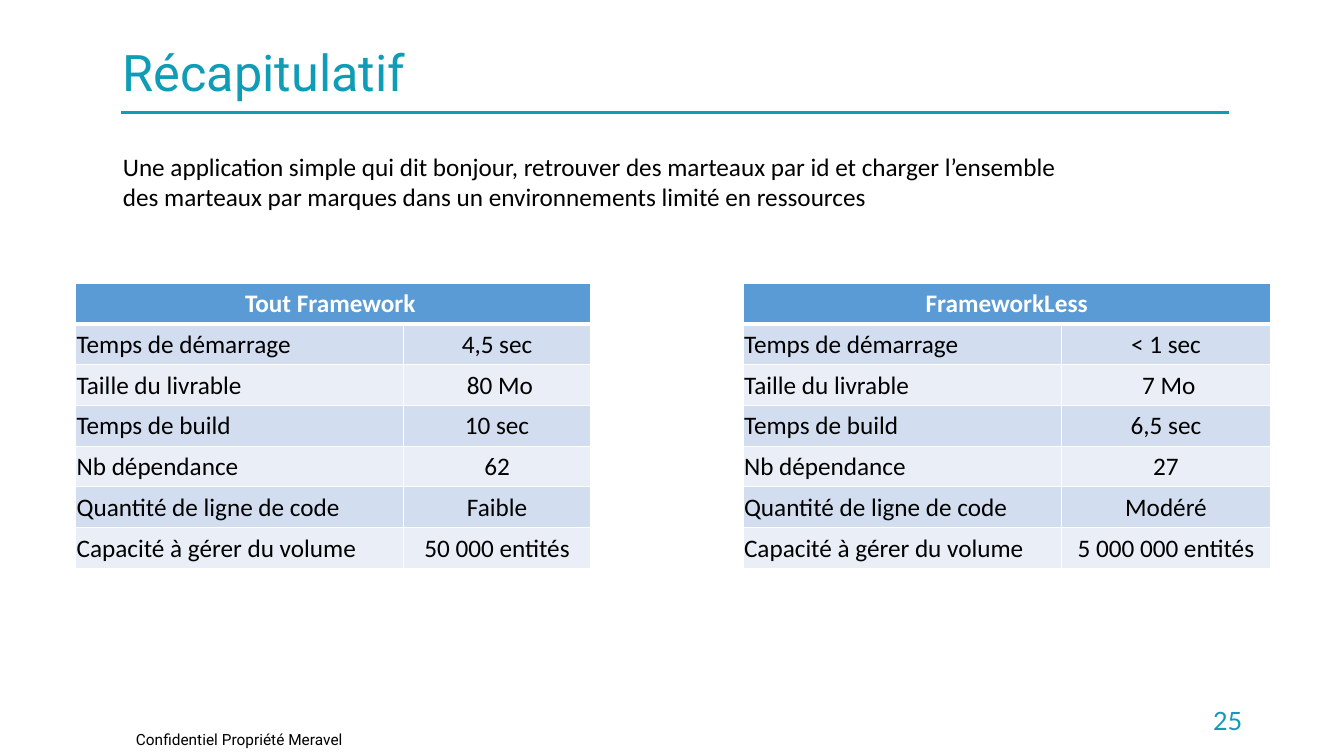
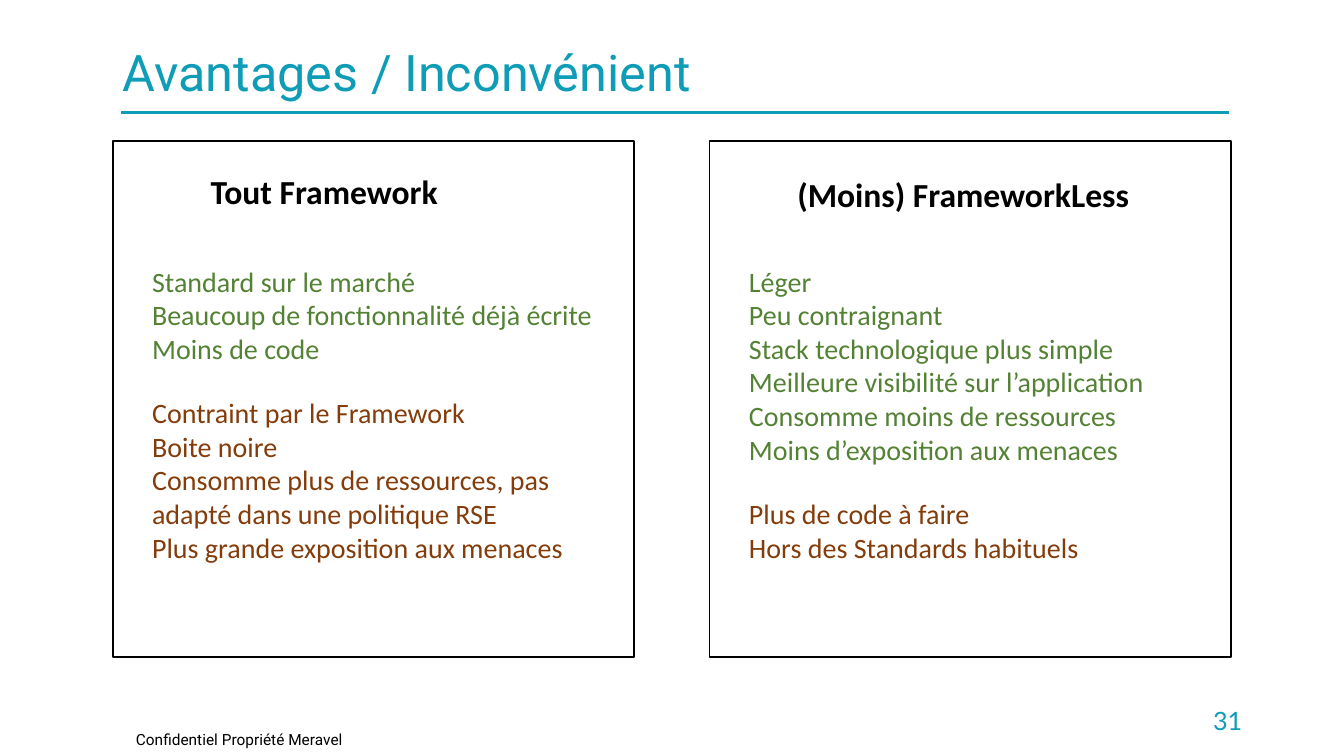
import pptx
import pptx.util
import pptx.dml.color
import pptx.enum.shapes
import pptx.enum.text
import pptx.oxml
import pptx.oxml.ns
from lxml import etree

Inches, Pt = pptx.util.Inches, pptx.util.Pt
RGBColor = pptx.dml.color.RGBColor
PP_ALIGN, MSO_ANCHOR = pptx.enum.text.PP_ALIGN, pptx.enum.text.MSO_ANCHOR
qn = pptx.oxml.ns.qn

TEAL = RGBColor(0x0E, 0x9C, 0xB6)
BLACK = RGBColor(0, 0, 0)
WHITE = RGBColor(0xFF, 0xFF, 0xFF)
HEADER_BLUE = RGBColor(0x5B, 0x9B, 0xD5)
BANDS = RGBColor(0xD2, 0xDE, 0xEF), RGBColor(0xEA, 0xEF, 0xF7)
GREEN = RGBColor(0x54, 0x82, 0x35)
BROWN = RGBColor(0x84, 0x3C, 0x0B)

BODY, TITLE, NUMBER = "Calibri", "Roboto", "Lato"
FOOTER = "Confidentiel Propriété Meravel"
MARGIN = 1.12

INTRO = ("Une application simple qui dit bonjour, retrouver des marteaux par id "
         "et charger l’ensemble des marteaux par marques dans un environnements "
         "limité en ressources")
HEADERS = "Tout Framework ", "FrameworkLess"
MEASURES = [
    ("Temps de démarrage", "4,5 sec", "< 1 sec"),
    ("Taille du livrable", " 80 Mo", " 7 Mo"),
    ("Temps de build", "10 sec", "6,5 sec"),
    ("Nb dépendance", "62", "27"),
    ("Quantité de ligne de code", "Faible", "Modéré"),
    ("Capacité à gérer du volume", "50 000 entités", "5 000 000 entités"),
]
COLUMNS = [3.25, 1.86, 1.51, 3.16, 2.07]
TABLE_TOP, TABLE_HEIGHT = 2.81, 2.83

PANEL_TOP, PANEL_WIDTH, PANEL_HEIGHT, PANEL_STEP = 1.4, 5.17, 5.12, 5.92
PANELS = [
    {"heading": "Tout Framework", "heading_at": (1.99, 1.65, 3.29, 0.5),
     "pros": ["Standard sur le marché",
              "Beaucoup de fonctionnalité déjà écrite",
              "Moins de code"],
     "cons": ["Contraint par le Framework",
              "Boite noire",
              "Consomme plus de ressources, pas adapté dans une politique RSE",
              "Plus grande exposition aux menaces"]},
    {"heading": "(Moins) FrameworkLess", "heading_at": (7.81, 1.68, 3.87, 0.5),
     "pros": ["Léger",
              "Peu contraignant",
              "Stack technologique plus simple",
              "Meilleure visibilité sur l’application",
              "Consomme moins de ressources",
              "Moins d’exposition aux menaces"],
     "cons": ["Plus de code à faire",
              "Hors des Standards habituels"]},
]


def write(p, text, size, color, font=BODY, bold=False, align=PP_ALIGN.LEFT):
    p.alignment = align
    r = p.add_run()
    r.text = text
    r.font.size, r.font.name, r.font.bold = Pt(size), font, bold
    r.font.color.rgb = color


def add_box(slide, at):
    tf = slide.shapes.add_textbox(*map(Inches, at)).text_frame
    tf.word_wrap = True
    return tf


def add_page(prs, title, number):
    """Add a slide with the shared title, rule, footer and page number."""
    slide = prs.slides.add_slide(prs.slide_layouts[6])
    rule = slide.shapes.add_connector(
        pptx.enum.shapes.MSO_CONNECTOR.STRAIGHT,
        Inches(1.2), Inches(1.12), Inches(12.19), Inches(1.12))
    rule.line.color.rgb, rule.line.width = TEAL, Pt(2.25)
    etree.SubElement(rule.element.spPr, qn("a:effectLst"))

    p = add_box(slide, (1.25, 7.19, 2.26, 0.29)).paragraphs[0]
    write(p, FOOTER, 11, BLACK, TITLE)

    tf = add_box(slide, (9.42, 6.95, 3, 0.4))
    tf.vertical_anchor = MSO_ANCHOR.MIDDLE
    write(tf.paragraphs[0], str(number), 18, TEAL, NUMBER, align=PP_ALIGN.RIGHT)

    p = add_box(slide, (MARGIN, 0.43, 11.08, 0.77)).paragraphs[0]
    p.line_spacing, p.space_before = 0.9, Pt(10)
    write(p, title, 36, TEAL, TITLE)
    return slide


def style_cell(cell, fill, bottom=1):
    """Fill a cell and give it white borders, the bottom one of a set width."""
    tcPr = cell._tc.get_or_add_tcPr()
    for side, width in (("L", 1), ("R", 1), ("T", 1), ("B", bottom)):
        ln = etree.SubElement(tcPr, qn(f"a:ln{side}"), w=str(Pt(width)))
        solid = etree.SubElement(ln, qn("a:solidFill"))
        etree.SubElement(solid, qn("a:srgbClr"), val=str(WHITE))
    cell.fill.solid()
    cell.fill.fore_color.rgb = fill


def add_measures(slide):
    rows = len(MEASURES) + 1
    table = slide.shapes.add_table(
        rows, len(COLUMNS), Inches(0.75), Inches(TABLE_TOP),
        Inches(sum(COLUMNS)), Inches(TABLE_HEIGHT)).table
    for column, width in zip(table.columns, COLUMNS):
        column.width = Inches(width)
    for row in table.rows:
        row.height = Inches(TABLE_HEIGHT / rows)

    for col in range(len(COLUMNS)):
        style_cell(table.cell(0, col), WHITE if col == 2 else HEADER_BLUE, bottom=3)
    for col, header in zip((0, 3), HEADERS):
        table.cell(0, col).merge(table.cell(0, col + 1))
        write(table.cell(0, col).text_frame.paragraphs[0], header, 18, WHITE,
              bold=True, align=PP_ALIGN.CENTER)

    for row, (label, full, less) in enumerate(MEASURES, 1):
        for col, text in enumerate((label, full, None, label, less)):
            cell = table.cell(row, col)
            style_cell(cell, WHITE if text is None else BANDS[(row - 1) % 2])
            if text is None:
                continue
            cell.vertical_anchor = MSO_ANCHOR.MIDDLE
            cell.margin_left = cell.margin_right = cell.margin_top = Inches(0.01)
            cell.margin_bottom = 0
            write(cell.text_frame.paragraphs[0], text, 18, BLACK,
                  align=PP_ALIGN.LEFT if text == label else PP_ALIGN.CENTER)


def add_panel(slide, left, panel):
    sp = slide.shapes.add_shape(
        pptx.enum.shapes.MSO_SHAPE.RECTANGLE,
        *map(Inches, (left, PANEL_TOP, PANEL_WIDTH, PANEL_HEIGHT)))
    sp.shadow.inherit = False
    sp.fill.solid()
    sp.fill.fore_color.rgb = WHITE
    sp.line.color.rgb, sp.line.width = BLACK, Pt(1)

    p = add_box(slide, panel["heading_at"]).paragraphs[0]
    write(p, panel["heading"], 24, BLACK, bold=True)

    tf = add_box(slide, (left + 0.29, 2.57, PANEL_WIDTH - 0.29, 3.1))
    points = [(text, GREEN) for text in panel["pros"]]
    points += [(text, BROWN) for text in panel["cons"]]
    for i, (text, color) in enumerate(points):
        p = tf.add_paragraph() if i else tf.paragraphs[0]
        if i == len(panel["pros"]):
            p.space_before = Pt(22)
        write(p, text, 20, color)


def main():
    prs = pptx.Presentation()
    prs.slide_width, prs.slide_height = Inches(13.33), Inches(7.5)

    slide = add_page(prs, "Récapitulatif", 25)
    write(add_box(slide, (MARGIN, 1.45, 9.72, 0.71)).paragraphs[0], INTRO, 18, BLACK)
    add_measures(slide)

    slide = add_page(prs, "Avantages / Inconvénient", 31)
    for i, panel in enumerate(PANELS):
        add_panel(slide, MARGIN + i * PANEL_STEP, panel)

    prs.save("out.pptx")


if __name__ == "__main__":
    main()
